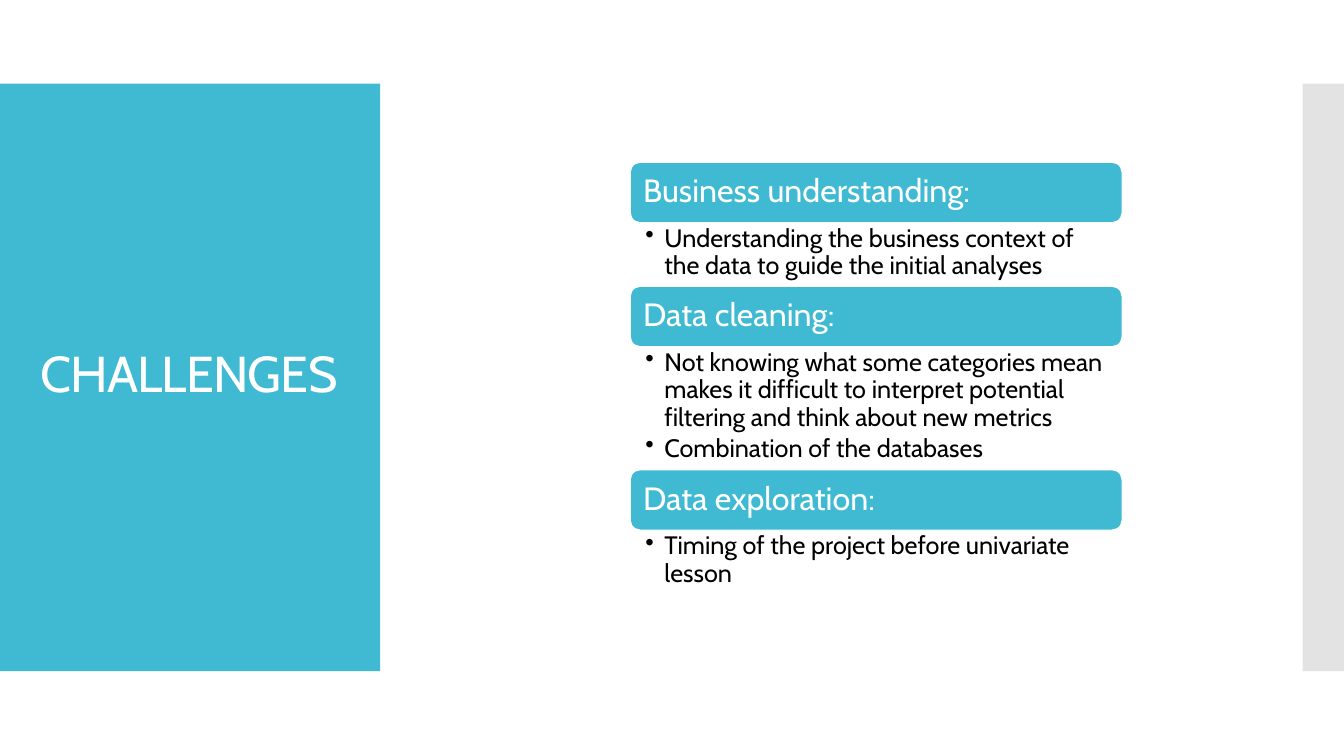
from pptx import Presentation, util as u
from pptx.dml import color
from pptx.enum import shapes, text
from pptx.oxml import ns
from lxml import etree

TITLE = "CHALLENGES"
TOPICS = [
    ("Business understanding:", 0.63,
     ["Understanding the business context of the data to guide the initial analyses"]),
    ("Data cleaning:", 1.22,
     ["Not knowing what some categories mean makes it difficult to interpret "
      "potential filtering and think about new metrics",
      "Combination of the databases"]),
    ("Data exploration:", 0.63,
     ["Timing of the project before univariate lesson"]),
]
THEME = {
    "font": "Cabin", "teal": "40BAD2", "gray": "C8C8C8",
    "white": "FFFFFF", "black": "000000",
    "title": 36, "head": 23, "body": 18,
}
LEFT, TOP, WIDTH, BAR = 6.25, 1.61, 4.88, 0.6
KIND = shapes.MSO_SHAPE
ANCHOR = text.MSO_ANCHOR


def tint(name):
    return color.RGBColor.from_string(THEME[name])


def assign(item, vals):
    for key, val in vals.items():
        setattr(item, key, val)


def block(slide, kind, box, fill):
    shape = slide.shapes.add_shape(kind, *map(u.Inches, box))
    shape.shadow.inherit = False
    shape.fill.solid()
    shape.fill.fore_color.rgb = tint(fill)
    shape.line.fill.background()
    return shape


def write(shape, lines, size, hue, anchor, pads, after=0):
    frame = shape.text_frame
    sides = ("left", "top", "right", "bottom")
    assign(frame, {f"margin_{s}": u.Inches(p) for s, p in zip(sides, pads)})
    assign(frame, {"word_wrap": True, "vertical_anchor": anchor})
    frame.text = "\n".join(lines)
    for para in frame.paragraphs:
        assign(para, {"alignment": text.PP_ALIGN.LEFT, "line_spacing": 0.9,
                      "space_after": u.Pt(after)})
        font = para.runs[0].font
        assign(font, {"name": THEME["font"], "size": u.Pt(THEME[size])})
        font.color.rgb = tint(hue)
    return frame.paragraphs


def bullet(para):
    props = para._p.get_or_add_pPr()
    props.set("marL", str(u.Inches(0.19)))
    props.set("indent", str(u.Inches(-0.19)))
    etree.SubElement(props, ns.qn("a:buChar")).set("char", "•")


def main():
    deck = Presentation()
    assign(deck, {"slide_width": u.Inches(13.33), "slide_height": u.Inches(7.5)})
    slide = deck.slides.add_slide(deck.slide_layouts[6])

    block(slide, KIND.RECTANGLE, (0, 0.83, 3.77, 5.83), "teal")
    strip = block(slide, KIND.RECTANGLE, (12.92, 0.83, 0.41, 5.83), "gray")
    shade = strip.fill._xPr.find(".//" + ns.qn("a:srgbClr"))
    etree.SubElement(shade, ns.qn("a:alpha")).set("val", "50000")

    title = slide.shapes.add_textbox(*map(u.Inches, (0.3, 2.54, 10.83, 1.51)))
    para = write(title, [TITLE], "title", "white", ANCHOR.BOTTOM,
                 (0.1, 0.05, 0.1, 0.05))[0]
    para.runs[0]._r.get_or_add_rPr().set("spc", "-60")

    top = TOP
    for head, tall, points in TOPICS:
        bar = block(slide, KIND.ROUNDED_RECTANGLE, (LEFT, top, WIDTH, BAR), "teal")
        bar.line.color.rgb = tint("white")
        bar.line.width = u.Pt(0.85)
        write(bar, [head], "head", "white", ANCHOR.MIDDLE, (0.1,) * 4)
        top += BAR
        body = slide.shapes.add_textbox(*map(u.Inches, (LEFT, top, WIDTH, tall)))
        for para in write(body, points, "body", "black", ANCHOR.TOP,
                          (0.15, 0.03, 0.18, 0.03), 3):
            bullet(para)
        top += tall

    deck.save("out.pptx")


if __name__ == "__main__":
    main()
